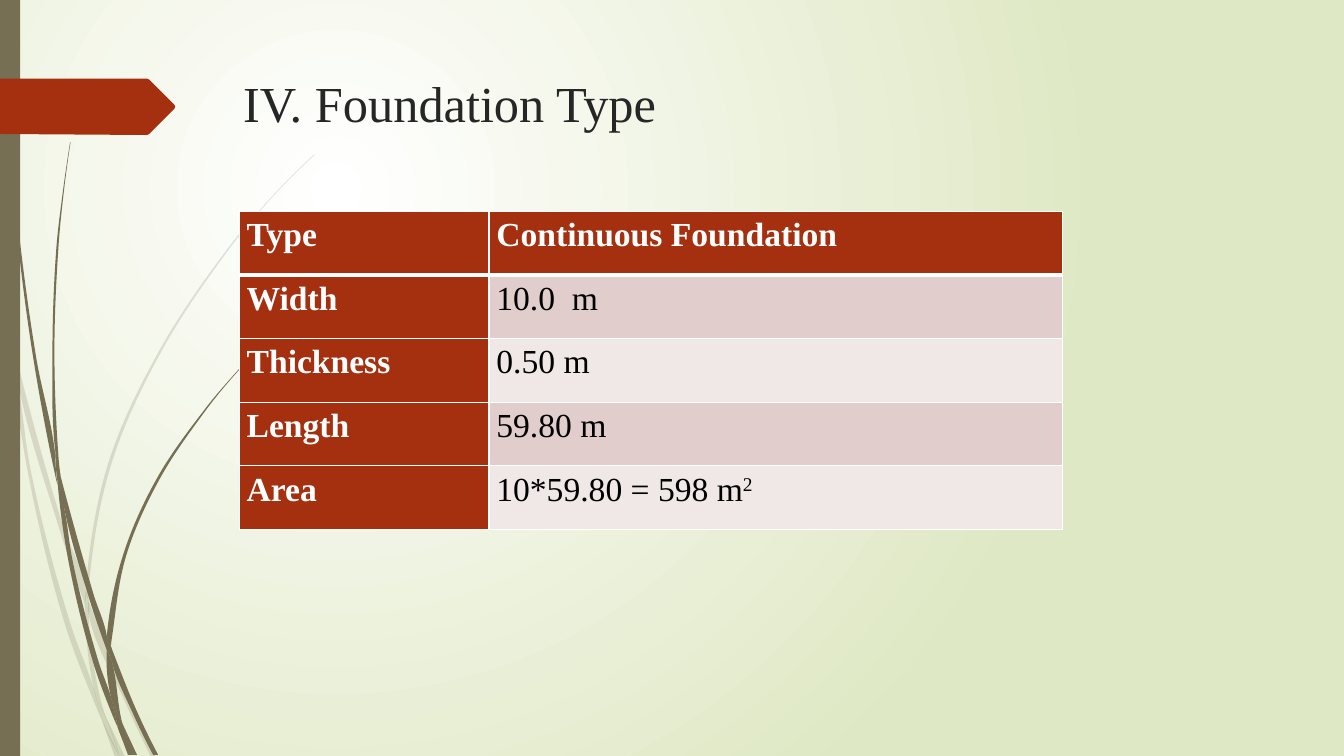
from lxml import etree
from pptx import Presentation, util as u
from pptx.dml.color import RGBColor
from pptx.enum import shapes, text
from pptx.oxml.ns import qn

OLIVE = RGBColor(0x76, 0x6F, 0x54)
RUST = RGBColor(0xA5, 0x30, 0x10)
WHITE = RGBColor(0xFF, 0xFF, 0xFF)
BLACK = RGBColor(0, 0, 0)
TITLE_GREY = RGBColor(0x26, 0x26, 0x26)
SAGE = RGBColor(0xDF, 0xE8, 0xC4)
BANDS = (RGBColor(0xE1, 0xCD, 0xCC), RGBColor(0xF0, 0xE8, 0xE7))

UNIT = 0.72  # points per unit of the outlines below

PALE_GRASS = [
    [(11, 350), (9, 322), (0, 282), (0, 299), (10, 344)],
    [(58, 522), (84, 599), (85, 586), (62, 520), (14, 345), (17, 376)],
    [(92, 607), (88, 596), (88, 610), (123, 694), (150, 751), (155, 751), (127, 692)],
    [(119, 751), (124, 751), (105, 711)],
    [(93, 683), (70, 619), (31, 469), (17, 376), (11, 350), (28, 470), (65, 621),
     (92, 693), (101, 714), (99, 707)],
    [(84, 599), (87, 646), (93, 683), (96, 692), (105, 711), (103, 706), (91, 646),
     (88, 610), (88, 608)],
    [(88, 584), (110, 462), (160, 349), (229, 245), (268, 198), (290, 175), (312, 154),
     (312, 153), (289, 175), (268, 197), (228, 244), (158, 348), (107, 461), (85, 584),
     (85, 586), (88, 596)],
    [(101, 714), (114, 751), (119, 751)],
    [(88, 608), (88, 610), (88, 596), (85, 586), (84, 599)],
    [(96, 692), (93, 683), (99, 707), (101, 714), (119, 751), (105, 711)],
]
DARK_GRASS = [
    [(7, 110), (17, 233), (33, 355), (56, 477), (57, 481), (55, 457), (55, 453),
     (36, 355), (19, 232), (8, 109), (5, 48), (4, 0), (3, 0), (4, 48)],
    [(88, 592), (106, 645), (106, 633), (106, 631), (93, 590), (60, 472), (64, 505)],
    [(113, 649), (110, 641), (111, 656), (132, 708), (152, 749), (157, 749), (136, 706)],
    [(110, 691), (98, 657), (72, 556), (64, 505), (57, 477), (68, 557), (93, 659),
     (111, 708), (117, 722), (116, 717)],
    [(60, 472), (58, 453), (54, 349), (58, 245), (63, 193), (70, 141), (69.6, 141),
     (62, 193), (56, 245), (52, 349), (55, 449)],
    [(133, 749), (136, 749), (122, 719)],
    [(57, 477), (64, 505), (60, 472), (55, 449), (55, 453)],
    [(111, 633), (125, 552), (158, 476), (205, 406), (231, 374), (245, 359), (261, 344),
     (260, 344), (245, 358), (231, 373), (204, 405), (156, 474), (122, 551), (106, 631),
     (110, 641)],
    [(117, 722), (127, 749), (131, 749)],
    [(106, 645), (110, 691), (116, 706), (122, 719), (121, 716), (111, 656), (109, 651)],
    [(106, 645), (109, 651), (111, 656), (110, 641), (106, 631), (106, 633)],
    [(116, 706), (110, 691), (116, 717), (117, 722), (130, 749), (133, 749), (122, 719)],
]
PAGE_TAG = [(0, 78), (146, 78), (148, 79), (173, 104), (174, 106), (173, 108),
            (148, 133), (146, 134), (0, 133)]

FOUNDATION = [("Type", "Continuous Foundation"), ("Width", "10.0  m"),
              ("Thickness", "0.50 m"), ("Length", "59.80 m"),
              ("Area", "10*59.80 = 598 m")]


def bend_edges(freeform):
    """Turn the straight edges of a closed outline into curves, keeping sharp corners."""
    points = list(freeform._element.iter(qn("a:pt")))
    anchors = [complex(int(pt.get("x")), int(pt.get("y"))) for pt in points]
    edges = [end - start for start, end in zip(anchors, anchors[1:])]
    headings = [edge / abs(edge) for edge in edges]
    tangents = []
    for before, after in zip(headings[-1:] + headings, headings):
        gentle = (before.conjugate() * after).real > 0.9
        tangents.append((before + after) / abs(before + after) if gentle else None)
    tangents.append(tangents[0])
    for i, (edge, heading) in enumerate(zip(edges, headings)):
        leaving, arriving = tangents[i], tangents[i + 1]
        mirror = heading * heading
        start = leaving or (mirror * arriving.conjugate() if arriving else heading)
        end = arriving or (mirror * leaving.conjugate() if leaving else heading)
        reach = abs(edge) / 3
        segment = points[i + 1].getparent()
        segment.tag = qn("a:cubicBezTo")
        handles = (anchors[i] + start * reach, anchors[i + 1] - end * reach)
        for place, handle in enumerate(handles):
            segment.insert(place, etree.Element(
                qn("a:pt"), x=str(round(handle.real)), y=str(round(handle.imag))))


class Deck:
    font = "Times New Roman"

    def __init__(self, width, height):
        self.prs = Presentation()
        self.prs.slide_width, self.prs.slide_height = u.Pt(width), u.Pt(height)
        self.slide = self.prs.slides.add_slide(self.prs.slide_layouts[6])

    def glow(self, inner, outer):
        """Fill the background with a circular gradient centred upper left."""
        fill = self.slide.background.fill
        fill.gradient()
        for stop, color in zip(fill.gradient_stops, (inner, outer)):
            stop.color.rgb = color
        gradient = next(self.slide.element.iter(qn("a:gradFill")))
        gradient.remove(gradient.find(qn("a:lin")))
        circle = etree.SubElement(gradient, qn("a:path"), path="circle")
        etree.SubElement(circle, qn("a:fillToRect"),
                         l="50000", t="50000", r="100000", b="100000")

    def paint(self, shape, color, opacity=100):
        shape.shadow.inherit = False
        shape.fill.solid()
        shape.fill.fore_color.rgb = color
        shape.line.fill.background()
        if opacity < 100:
            tint = next(shape._element.spPr.iter(qn("a:srgbClr")))
            etree.SubElement(tint, qn("a:alpha"), val=str(opacity * 1000))

    def outline(self, anchors, color, opacity=100):
        start, *rest = [(u.Pt(x * UNIT), u.Pt(y * UNIT)) for x, y in anchors]
        builder = self.slide.shapes.build_freeform(*start)
        builder.add_line_segments(rest + [start], close=True)
        freeform = builder.convert_to_shape()
        self.paint(freeform, color, opacity)
        return freeform

    def bar(self, left, top, width, height, color):
        self.paint(self.slide.shapes.add_shape(
            shapes.MSO_SHAPE.RECTANGLE, *map(u.Pt, (left, top, width, height))), color)

    def style(self, run, size, color, bold=False):
        run.font.name, run.font.size, run.font.bold = self.font, u.Pt(size), bold
        run.font.color.rgb = color

    def title(self, words, left, top, width, height):
        frame = self.slide.shapes.add_textbox(
            *map(u.Pt, (left, top, width, height))).text_frame
        frame.word_wrap = True
        frame.vertical_anchor = text.MSO_ANCHOR.TOP
        frame.text = words
        self.style(frame.paragraphs[0].runs[0], 36, TITLE_GREY)

    def borders(self, cell, **widths):
        """Draw white cell borders; widths are given per side as L, R, T, B."""
        for place, (side, width) in enumerate(widths.items()):
            line = etree.Element(qn("a:ln" + side), w=str(u.Pt(width)))
            solid = etree.SubElement(line, qn("a:solidFill"))
            etree.SubElement(solid, qn("a:srgbClr"), val=str(WHITE))
            cell._tc.get_or_add_tcPr().insert(place, line)

    def table(self, rows, left, top, widths, row_height):
        table = self.slide.shapes.add_table(
            len(rows), len(widths), u.Pt(left), u.Pt(top),
            u.Pt(sum(widths)), u.Pt(row_height * len(rows))).table
        for column, width in zip(table.columns, widths):
            column.width = u.Pt(width)
        for r, row in enumerate(rows):
            table.rows[r].height = u.Pt(row_height)
            for c, words in enumerate(row):
                cell, heading = table.cell(r, c), r == 0 or c == 0
                cell.margin_left = cell.margin_right = u.Pt(5.2)
                cell.margin_top = cell.margin_bottom = 0
                cell.fill.solid()
                cell.fill.fore_color.rgb = RUST if heading else BANDS[(r - 1) % 2]
                self.borders(cell, L=1, R=1, T=3 if r == 1 else 1, B=3 if r == 0 else 1)
                paragraph = cell.text_frame.paragraphs[0]
                paragraph.text = words
                paragraph.line_spacing = 1.15
                self.style(paragraph.runs[0], 24, WHITE if heading else BLACK, heading)
        return table

    def superscript(self, cell, words):
        run = cell.text_frame.paragraphs[0].add_run()
        run.text = words
        self.style(run, 24, BLACK)
        run._r.get_or_add_rPr().set("baseline", "30000")


def main():
    deck = Deck(960, 540)
    deck.glow(WHITE, SAGE)
    for blades, opacity in ((PALE_GRASS, 20), (DARK_GRASS, 100)):
        for blade in blades:
            bend_edges(deck.outline(blade, OLIVE, opacity))
    deck.bar(0, 0, 14.4, 540, OLIVE)
    deck.outline(PAGE_TAG, RUST)
    deck.title("IV. Foundation Type", 166.5, 48.2, 702, 100.8)
    table = deck.table(FOUNDATION, 171, 150.8, (178.3, 409.7), 45.5)
    deck.superscript(table.cell(4, 1), "2")
    deck.prs.save("out.pptx")


if __name__ == "__main__":
    main()
